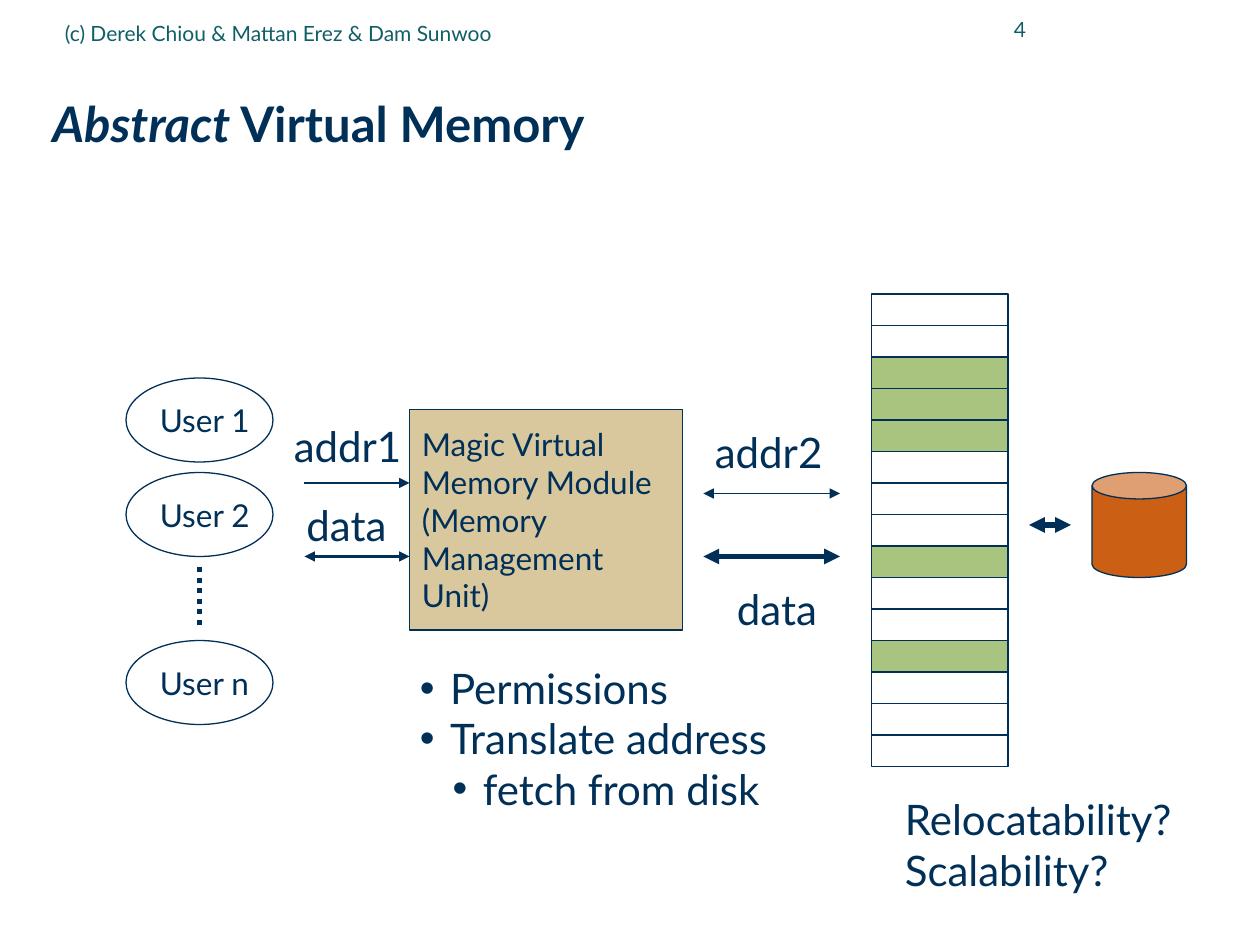
import pptx
import pptx.util
import pptx.dml.color
import pptx.enum.shapes
import pptx.enum.text
import pptx.enum.dml
import pptx.oxml
import pptx.oxml.ns

RGB = pptx.dml.color.RGBColor
NAVY = RGB(0x00, 0x30, 0x57)
TEAL = RGB(0x11, 0x5E, 0x67)
SAND = RGB(0xD9, 0xC8, 0x9E)
GREEN = RGB(0xA9, 0xC4, 0x7F)
RUST = RGB(0xCB, 0x60, 0x15)
KIND = pptx.enum.shapes.MSO_SHAPE
MID = pptx.enum.text.MSO_ANCHOR.MIDDLE
LEFT = pptx.enum.text.PP_ALIGN.LEFT
RIGHT = pptx.enum.text.PP_ALIGN.RIGHT
GROW = pptx.enum.text.MSO_AUTO_SIZE.SHAPE_TO_FIT_TEXT
DOTS = pptx.enum.dml.MSO_LINE.ROUND_DOT


class Board:
    font = "Lato"
    cols, rows = 120, 90

    def __init__(self, deck):
        self.wide, self.high = deck.slide_width, deck.slide_height
        self.slide = deck.slides.add_slide(deck.slide_layouts[6])

    def place(self, col, row):
        return round(col * self.wide / self.cols), round(row * self.high / self.rows)

    def style(self, item, form):
        for name, value in form.items():
            setattr(item, name, value)

    def append(self, node, tag, **attrs):
        node.append(node.makeelement(pptx.oxml.ns.qn("a:" + tag), attrs))

    def letter(self, shape, lines, size, color=NAVY, align=LEFT, **form):
        frame = shape.text_frame
        self.style(frame, form)
        for i, line in enumerate(lines):
            para = frame.paragraphs[0] if i == 0 else frame.add_paragraph()
            para.alignment = align
            for words, look in line if isinstance(line, list) else [(line, {})]:
                run = para.add_run()
                run.text = words
                run.font.color.rgb = color
                self.style(run.font, {"name": self.font, "size": pptx.util.Pt(size), **look})
        return frame

    def text(self, box, lines, size, color=NAVY, **form):
        shape = self.slide.shapes.add_textbox(*self.place(*box[:2]), *self.place(*box[2:]))
        return self.letter(shape, lines, size, color, **{"word_wrap": True, **form})

    def label(self, box, *lines):
        return self.text(box, lines, 24, word_wrap=False, auto_size=GROW)

    def shape(self, kind, box, fill=None, lines=()):
        shape = self.slide.shapes.add_shape(kind, *self.place(*box[:2]), *self.place(*box[2:]))
        shape.shadow.inherit = False
        if fill is None:
            shape.fill.background()
        else:
            shape.fill.solid()
            shape.fill.fore_color.rgb = fill
        shape.line.color.rgb = NAVY
        shape.line.width = pptx.util.Pt(0.75)
        if lines:
            self.letter(shape, lines, 18, vertical_anchor=MID, word_wrap=False)
        return shape

    def line(self, start, end, width, ends=(), dash=None):
        link = self.slide.shapes.add_connector(
            pptx.enum.shapes.MSO_CONNECTOR.STRAIGHT, *self.place(*start), *self.place(*end))
        link.line.color.rgb = NAVY
        self.style(link.line, {"width": pptx.util.Pt(width), "dash_style": dash})
        props = link._element.spPr
        for tip in ends:
            self.append(props.find(pptx.oxml.ns.qn("a:ln")), tip, type="triangle")
        self.append(props, "effectLst")

    def points(self, box, items):
        frame = self.text(box, [item for item, level in items], 24, auto_size=GROW)
        for para, (item, level) in zip(frame.paragraphs, items):
            para.level = level
            props = para._p.get_or_add_pPr()
            props.set("marL", str(pptx.util.Inches(0.24 + 0.26 * level)))
            props.set("indent", str(pptx.util.Inches(-0.24)))
            self.append(props, "buFont", typeface="Arial")
            self.append(props, "buChar", char="•")


def main():
    deck = pptx.Presentation()
    deck.slide_width, deck.slide_height = pptx.util.Inches(10), pptx.util.Inches(7.5)
    board = Board(deck)
    both = ("headEnd", "tailEnd")

    title = [("Abstract", {"bold": True, "italic": True}), (" Virtual Memory", {"bold": True})]
    flat = dict.fromkeys(("margin_left", "margin_right", "margin_top", "margin_bottom"), 0)
    frame = board.text((5, 6, 113, 11.8), [title], 28, vertical_anchor=MID, **flat)
    frame.paragraphs[0].line_spacing = 0.99
    board.text((88, -0.2, 10.9, 6), ["4"], 12, TEAL, align=RIGHT, vertical_anchor=MID)
    board.text((5, 0.4, 68, 5.5), ["(c) Derek Chiou & Mattan Erez & Dam Sunwoo"], 12, TEAL,
               vertical_anchor=MID)

    board.shape(KIND.RECTANGLE, (39, 39, 26, 21), SAND,
                ["Magic Virtual", "Memory Module", "(Memory", "Management", "Unit)"])
    for page in range(15):
        used = page in (2, 3, 4, 8, 11)
        board.shape(KIND.RECTANGLE, (83, 28 + 3 * page, 13, 3), GREEN if used else None)
    disk = board.shape(KIND.CAN, (104, 45, 9, 10), RUST)
    disk.adjustments[0] = 0.28
    for name, row in (("1", 36), ("2", 45), ("n", 61)):
        board.shape(KIND.OVAL, (12, row, 14, 8), lines=["User " + name])

    board.line((29, 46), (39, 46), 0.75, ("tailEnd",))
    board.line((39, 53), (29, 53), 1.5, both)
    board.line((67, 47), (80, 47), 0.75, both)
    board.line((67, 53), (80, 53), 3, both)
    board.line((102, 50), (98, 50), 3, both)
    board.line((19, 54), (19, 60), 3, dash=DOTS)

    board.label((26.8, 39.5, 13, 6), "addr1")
    board.label((28, 47, 10.2, 6), "data")
    board.label((66.9, 40, 13, 6), "addr2")
    board.label((69, 55, 10.2, 6), "data")
    board.label((85, 75, 28.4, 10.9), "Relocatability?", "Scalability?")
    board.points((38.8, 62.5, 37.2, 15.7),
                 [("Permissions", 0), ("Translate address", 0), ("fetch from disk", 1)])
    deck.save("out.pptx")


if __name__ == "__main__":
    main()
